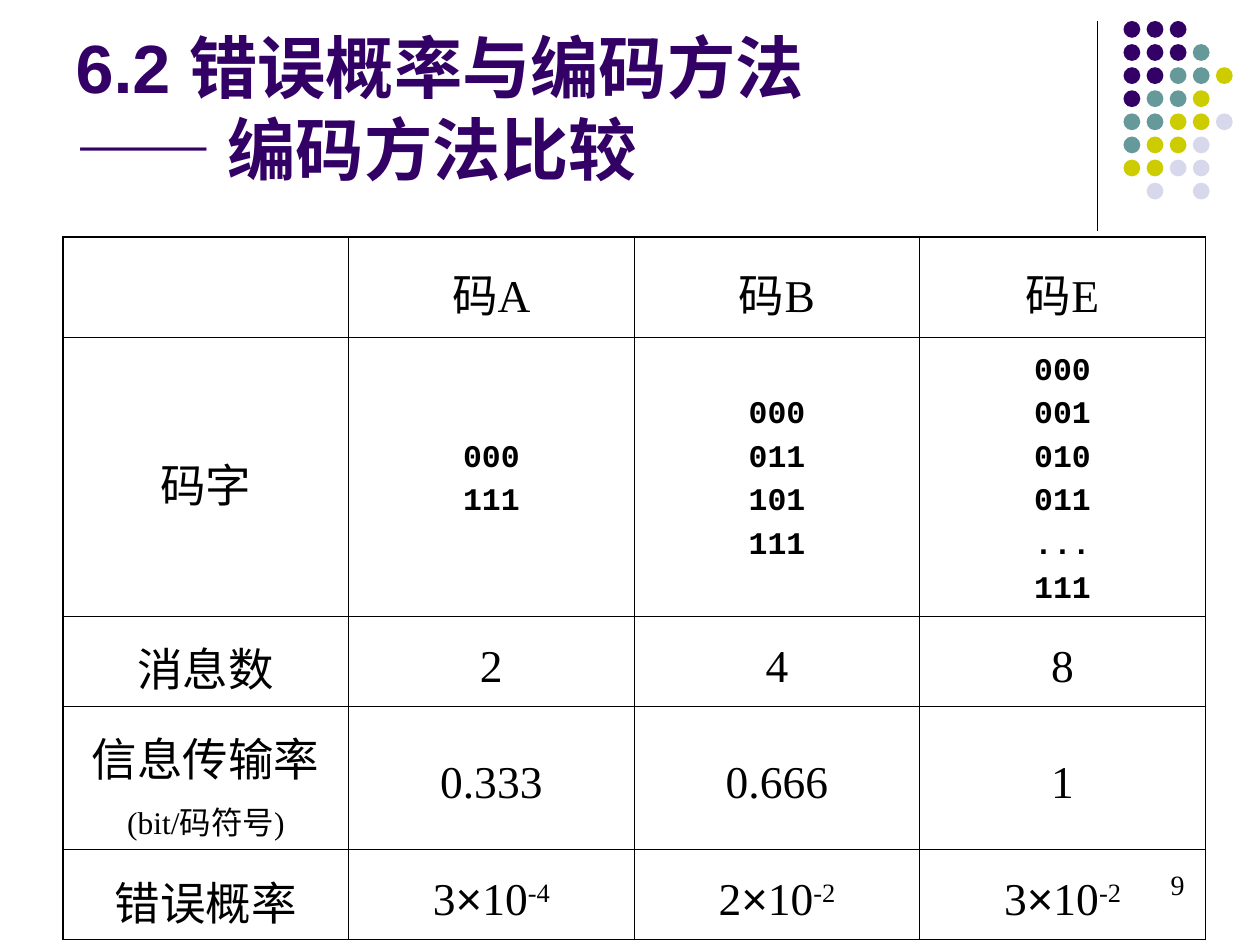
from dataclasses import dataclass

from lxml.etree import SubElement
from pptx import Presentation
from pptx.dml.color import RGBColor
from pptx.enum.shapes import MSO_CONNECTOR as Link, MSO_SHAPE as Shape
from pptx.enum.text import MSO_ANCHOR as Anchor, MSO_AUTO_SIZE as Fit, PP_ALIGN as Align
from pptx.oxml.ns import qn
from pptx.util import Inches, Length, Pt

COLS, ROWS = 60, 45  # slide grid, six units to the inch
HUES = {"ink": "000000", "plum": "330066", "teal": "669999", "lime": "CCCC00", "mist": "D8D8EC"}
DOTS = ("ppp", "pppt", "ppttl", "pttl", "ttllm", "tllm", "llmm", " m m")
KEYS = {"p": "plum", "t": "teal", "l": "lime", "m": "mist"}
SERIF, SANS, MONO = "Times New Roman", "Arial", "Courier New"
THIN, THICK = 0.45, 1.08


@dataclass
class Run:
    text: str
    font: str = SERIF
    size: float = 26
    bold: bool = False
    base: int = 0


@dataclass
class Line:
    runs: list[Run]
    gap: float = 6.5


def unit(num: float) -> Length:
    return Inches(num / 6)


def tint(name: str) -> RGBColor:
    return RGBColor.from_string(HUES[name])


def write(para, text: str, *, font: str = SERIF, size: float = 26,
          color: str = "ink", bold: bool = False, base: int = 0, align=Align.CENTER) -> None:
    """Add text to a paragraph; a newline becomes a line break."""
    para.alignment = align
    for num, part in enumerate(text.split("\n")):
        if num:
            para.add_line_break()
        run = para.add_run()
        run.text = part
        run.font.name, run.font.size, run.font.bold = font, Pt(size), bold
        run.font.color.rgb = tint(color)
        if base:
            run.font._element.set("baseline", str(base * 1000))


def word(text: str) -> list[Line]:
    return [Line([Run(text)])]


def codes(text: str) -> list[Line]:
    return [Line([Run(code, MONO, 18, True)], 4.5) for code in text.split()]


def power(num: str, exp: str) -> list[Line]:
    return [Line([Run(num), Run("×", SANS), Run("10"), Run(exp, base=30)])]


def edge(cell, side: str, width: float) -> None:
    line = SubElement(cell._tc.get_or_add_tcPr(), qn(f"a:ln{side}"), w=str(Pt(width)))
    fill = SubElement(line, qn("a:solidFill"))
    SubElement(fill, qn("a:srgbClr"), val=HUES["ink"])


def fill_cell(cell, lines: list[Line], outer: dict[str, bool]) -> None:
    for side, out in outer.items():
        edge(cell, side, THICK if out else THIN)
    cell.fill.background()
    cell.vertical_anchor = Anchor.MIDDLE
    frame = cell.text_frame
    for num, line in enumerate(lines):
        para = frame.add_paragraph() if num else frame.paragraphs[0]
        if num:
            para.space_before = Pt(line.gap)
        else:
            cell.margin_top = Inches(0.05) + Pt(line.gap)
        for run in line.runs:
            write(para, run.text, font=run.font, size=run.size, bold=run.bold, base=run.base)


def draw_dots(slide) -> None:
    left, top, step, size = 53.5, 1, 1.1, 0.8
    for row, keys in enumerate(DOTS):
        for col, key in enumerate(keys):
            if key == " ":
                continue
            dot = slide.shapes.add_shape(Shape.OVAL, unit(left + col * step),
                                         unit(top + row * step), unit(size), unit(size))
            dot.shadow.inherit = False
            dot.fill.solid()
            dot.fill.fore_color.rgb = tint(KEYS[key])
            dot.line.fill.background()


def draw_rule(slide) -> None:
    rule = slide.shapes.add_connector(Link.STRAIGHT, unit(52.26), unit(1), unit(52.26), unit(11))
    rule.line.color.rgb, rule.line.width = tint("ink"), Pt(0.75)
    SubElement(rule._element.spPr, qn("a:effectLst"))


def draw_title(slide) -> None:
    title = slide.shapes.title
    title.left, title.top, title.width, title.height = map(unit, (3, 0.8, 49.5, 8.5))
    frame = title.text_frame
    frame.auto_size, frame.word_wrap, frame.vertical_anchor = Fit.NONE, True, Anchor.BOTTOM
    write(frame.paragraphs[0], "6.2 错误概率与编码方法\n—— 编码方法比较",
          font=SANS, size=39, color="plum", bold=True, align=Align.LEFT)


def draw_table(slide) -> None:
    rate = word("信息传输率") + [Line([Run("(bit/码符号)", size=18)], 4.5)]
    data = [
        [[], word("码A"), word("码B"), word("码E")],
        [word("码字"), codes("000 111"), codes("000 011 101 111"),
         codes("000 001 010 011 ... 111")],
        [word("消息数"), word("2"), word("4"), word("8")],
        [rate, word("0.333"), word("0.666"), word("1")],
        [word("错误概率"), power("3", "-4"), power("2", "-2"), power("3", "-2")],
    ]
    wide, tall = 13.6, (4.8, 13.26, 3.72, 6.36, 3.72)
    last_row, last_col = len(data) - 1, len(data[0]) - 1
    table = slide.shapes.add_table(len(data), len(data[0]), unit(3), unit(11.28),
                                   unit(wide * len(data[0])), unit(sum(tall))).table
    table.first_row = table.horz_banding = False
    for col in table.columns:
        col.width = unit(wide)
    for row, cells in enumerate(data):
        table.rows[row].height = unit(tall[row])
        for col, lines in enumerate(cells):
            outer = {"L": col == 0, "R": col == last_col, "T": row == 0, "B": row == last_row}
            fill_cell(table.cell(row, col), lines, outer)


def draw_page(slide) -> None:
    box = slide.shapes.add_textbox(unit(43), unit(41), unit(14), unit(3))
    box.text_frame.word_wrap = True
    write(box.text_frame.paragraphs[0], "9", size=16, align=Align.RIGHT)


def main() -> None:
    deck = Presentation()
    deck.slide_width, deck.slide_height = unit(COLS), unit(ROWS)
    slide = deck.slides.add_slide(deck.slide_layouts[5])
    for draw in (draw_rule, draw_dots, draw_title, draw_table, draw_page):
        draw(slide)
    deck.save("out.pptx")


if __name__ == "__main__":
    main()
